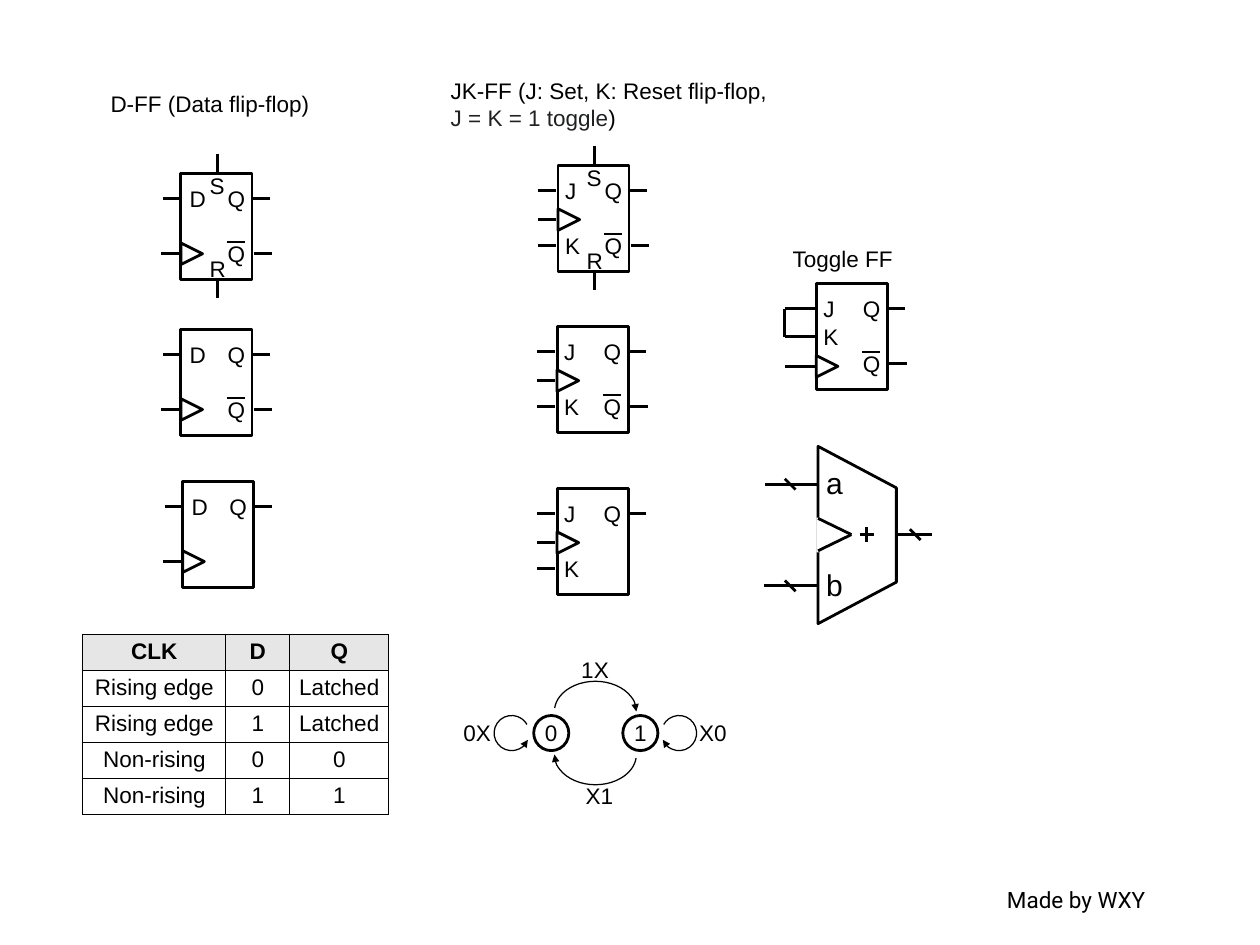
from lxml import etree
from pptx import Presentation
from pptx import util as u
from pptx.dml.color import RGBColor
from pptx.enum import shapes, text
from pptx.oxml import ns

COLORS = {"ink": "000000", "paper": "FFFFFF", "header": "E7E6E6", "dark": "202122"}
SHAPE = shapes.MSO_SHAPE
BOX_W, BOX_H = 0.79, 1.18
TOP_PIN, BOTTOM_PIN = 0.28, 0.89
CLOCK = ">"
PIN_X = {"D": 0, "J": -0.02, "K": -0.02, CLOCK: -0.02}


def cm(inches):
    return u.Cm(inches * 2.54)


def color(name):
    return RGBColor.from_string(COLORS[name])


def add_xml(parent, tag, **attributes):
    return etree.SubElement(parent, ns.qn(tag), attributes)


def style_font(font, size=18, name="Arial", ink="ink", bold=False):
    font.size, font.name, font.bold = u.Pt(size), name, bold
    font.color.rgb = color(ink)


def add_label(parts, left, top, width, words, height=0.4, size=18, font="Arial", centered=False):
    box = parts.add_textbox(cm(left), cm(top), cm(width), cm(height))
    frame = box.text_frame
    frame.word_wrap = True
    frame.auto_size = text.MSO_AUTO_SIZE.SHAPE_TO_FIT_TEXT
    frame.text = words
    for para in frame.paragraphs:
        style_font(para.font, size, font)
        if centered:
            para.alignment = text.PP_ALIGN.CENTER
    return box


def add_wire(parts, x1, y1, x2, y2, weight=2.25):
    wire = parts.add_connector(shapes.MSO_CONNECTOR.STRAIGHT, cm(x1), cm(y1), cm(x2), cm(y2))
    wire.line.color.rgb = color("ink")
    wire.line.width = u.Pt(weight)
    add_xml(wire._element.spPr, "a:effectLst")


def add_outline(parts, kind, left, top, width, height, fill=None, line="ink", weight=2.25, turn=0):
    shape = parts.add_shape(kind, cm(left), cm(top), cm(width), cm(height))
    shape.shadow.inherit = False
    shape.rotation = turn
    if fill:
        shape.fill.solid()
        shape.fill.fore_color.rgb = color(fill)
    else:
        shape.fill.background()
    shape.line.color.rgb = color(line)
    shape.line.width = u.Pt(weight)
    return shape


def add_arc(parts, left, top, width, height, turn, start, flip=None):
    arc = add_outline(parts, SHAPE.ARC, left, top, width, height, weight=1, turn=turn)
    arc.adjustments[0], arc.adjustments[1] = start, 51.13
    if flip:
        arc._element.spPr.xfrm.set(flip, "1")
    add_xml(arc.line._get_or_add_ln(), "a:headEnd", type="triangle")


def add_flip_flop(page, left, top, pins, inverted=True, preset=False, stub=0.2):
    """Draw one flip-flop; pins maps each input to its height in the box."""
    parts = page.shapes.add_group_shape().shapes
    right = left + BOX_W
    add_outline(parts, SHAPE.RECTANGLE, left, top, BOX_W, BOX_H)

    # Inputs
    for pin, drop in pins.items():
        x, y = left + PIN_X[pin], top + drop
        add_wire(parts, x - stub, y, x, y)
        if pin == CLOCK:
            add_outline(parts, SHAPE.ISOSCELES_TRIANGLE, left, y - 0.12, 0.24, 0.24, "paper", turn=90)
        else:
            add_label(parts, x, y - 0.2, 0.48, pin)

    # Outputs
    add_label(parts, left + 0.42, top + 0.08, 0.48, "Q")
    add_wire(parts, right, top + TOP_PIN, right + 0.2, top + TOP_PIN)
    if inverted:
        y = top + BOTTOM_PIN
        add_label(parts, left + 0.42, y - 0.2, 0.48, "Q")
        add_wire(parts, left + 0.51, y - 0.13, left + 0.71, y - 0.13, 2)
        add_wire(parts, right + 0.02, y, right + 0.22, y)

    # Set and reset
    if preset:
        middle = left + 0.41
        for pin, drop, start in (("S", -0.07, -0.22), ("R", 0.85, BOX_H)):
            add_label(parts, left + 0.22, top + drop, 0.48, pin)
            add_wire(parts, middle, top + start, middle, top + start + 0.2)
    return parts


def add_truth_table(page):
    rows = [("CLK", "D", "Q"), ("Rising edge", "0", "Latched"), ("Rising edge", "1", "Latched"),
            ("Non-rising", "0", "0"), ("Non-rising", "1", "1")]
    table = page.shapes.add_table(5, 3, cm(0.92), cm(7.05), cm(3.4), cm(2)).table
    table.first_row = table.horz_banding = False
    for column, width in zip(table.columns, (1.59, 0.71, 1.1)):
        column.width = cm(width)
    for i, row in enumerate(rows):
        for j, words in enumerate(row):
            cell = table.cell(i, j)
            cell.text = words
            para = cell.text_frame.paragraphs[0]
            para.alignment = text.PP_ALIGN.CENTER
            style_font(para.font, bold=i == 0)
            # Borders precede the fill in the cell properties
            properties = cell._tc.get_or_add_tcPr()
            for side in ("a:lnL", "a:lnR", "a:lnT", "a:lnB"):
                border = add_xml(properties, side, w=str(u.Pt(1)))
                add_xml(add_xml(border, "a:solidFill"), "a:srgbClr", val=COLORS["ink"])
            if i == 0:
                cell.fill.solid()
                cell.fill.fore_color.rgb = color("header")
            else:
                cell.fill.background()


def add_state_diagram(page):
    parts = page.shapes.add_group_shape().shapes
    for left, state in ((5.93, "0"), (6.92, "1")):
        add_outline(parts, SHAPE.OVAL, left, 7.95, 0.39, 0.39, "paper")
        add_label(parts, left + 0.01, 7.94, 0.37, state, centered=True)
    add_arc(parts, 6.28, 7.45, 0.67, 0.91, 270, 161.94, "flipV")
    add_arc(parts, 6.28, 7.93, 0.67, 0.91, 270, 161.94, "flipH")
    add_arc(parts, 7.35, 7.95, 0.39, 0.39, 114.6, 82.3, "flipH")
    add_arc(parts, 5.49, 7.95, 0.39, 0.39, 245.4, 82.3)
    for left, top, words in ((6.36, 7.24, "1X"), (6.41, 8.64, "X1"), (5.05, 7.94, "0X"), (7.67, 7.94, "X0")):
        add_label(parts, left, top, 0.62, words)


def add_adder(page):
    parts = page.shapes.add_group_shape().shapes
    body = add_outline(parts, SHAPE.TRAPEZOID, 8.54, 5.51, 1.97, 0.87, turn=90)
    body.adjustments[0] = 0.53
    # Notch
    add_outline(parts, SHAPE.ISOSCELES_TRIANGLE, 9.09, 5.76, 0.36, 0.37, "paper", "paper", turn=90)
    for y in (5.76, 6.12):
        add_wire(parts, 9.09, y, 9.46, 5.94)
    # Buses with their slashes
    for x1, x2, y, slash in ((8.5, 9.09, 5.38, 8.78), (8.49, 9.08, 6.51, 8.78), (9.96, 10.35, 5.94, 10.17)):
        add_wire(parts, x1, y, x2, y)
        add_wire(parts, slash - 0.06, y - 0.06, slash + 0.06, y + 0.06)
    for top, words in ((5.11, "a"), (6.25, "b")):
        add_label(parts, 9.08, top, 0.55, words, 0.5, 24)
    # Plus sign
    add_wire(parts, 9.55, 5.94, 9.71, 5.94)
    add_wire(parts, 9.63, 5.86, 9.63, 6.02)


def main():
    deck = Presentation()
    deck.slide_width, deck.slide_height = cm(14), cm(10.5)
    page = deck.slides.add_slide(deck.slide_layouts[6])
    add_label(page.shapes, 11.09, 9.8, 2.46, "Made by WXY", font="Roboto")

    # Headings
    add_label(page.shapes, 1.13, 0.95, 4.04, "D-FF (Data flip-flop)")
    heading = add_label(page.shapes, 4.91, 0.81, 4.04, "JK-FF (J: Set, K: Reset flip-flop,\nJ = K = 1 toggle", 0.71)
    para = heading.text_frame.paragraphs[1]
    para.runs[0].font.color.rgb = color("dark")
    para.add_run().text = ")"
    add_label(page.shapes, 8.71, 2.67, 2.3, "Toggle FF")

    # Flip-flops
    data_pins = {"D": TOP_PIN, CLOCK: BOTTOM_PIN}
    jk_pins = {"J": TOP_PIN, "K": BOTTOM_PIN, CLOCK: 0.6}
    for left, top, pins, inverted, preset in (
            (2.01, 1.93, data_pins, True, True), (2.01, 3.66, data_pins, True, False),
            (2.03, 5.35, data_pins, False, False), (6.2, 1.84, jk_pins, True, True),
            (6.19, 3.63, jk_pins, True, False), (6.19, 5.43, jk_pins, False, False)):
        add_flip_flop(page, left, top, pins, inverted, preset)
    toggle = add_flip_flop(page, 9.07, 3.15, {"J": TOP_PIN, "K": 0.59, CLOCK: 0.92}, stub=0.33)
    add_wire(toggle, 8.72, 3.74, 8.72, 3.43)

    add_truth_table(page)
    add_state_diagram(page)
    add_adder(page)
    deck.save("out.pptx")


if __name__ == "__main__":
    main()
